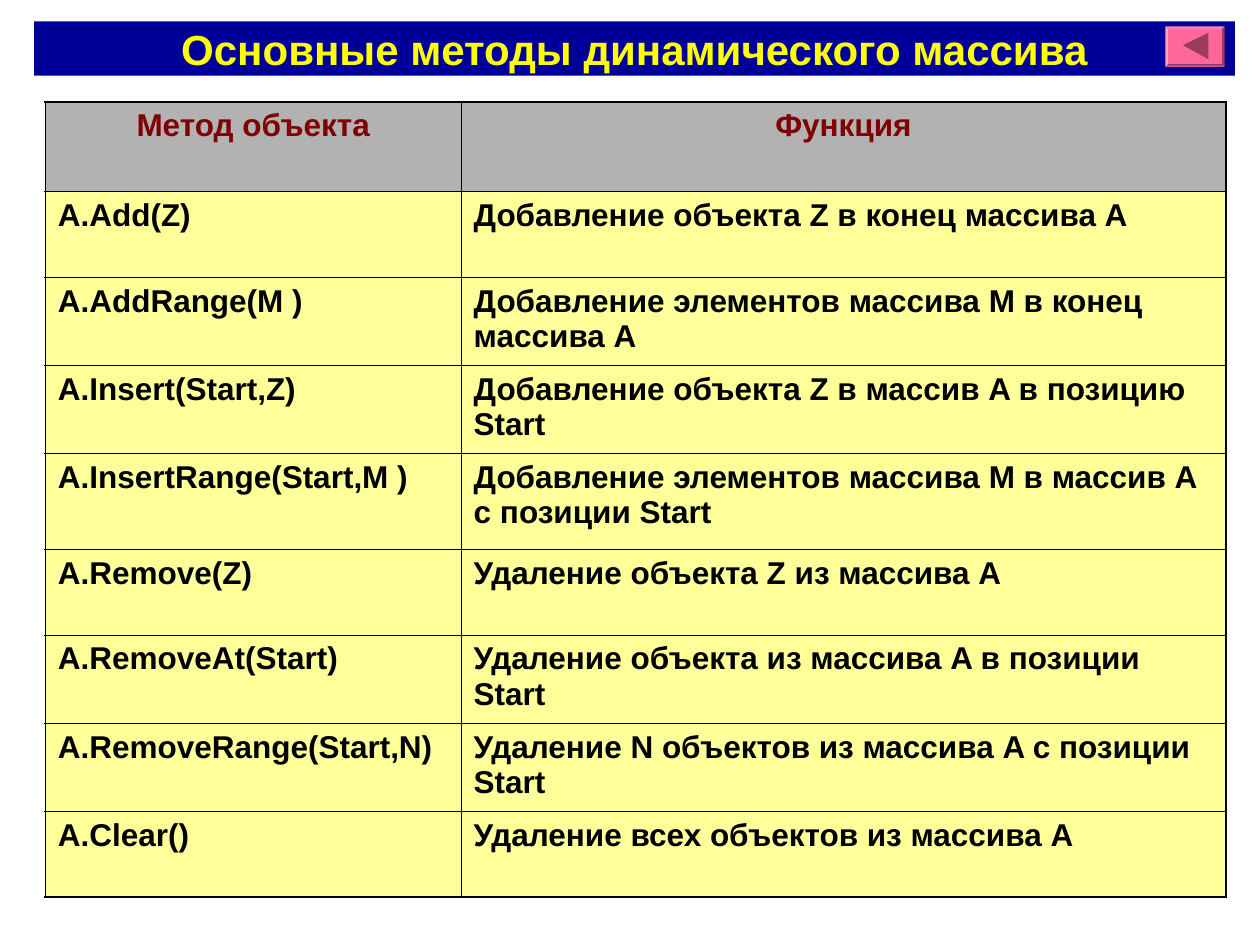
from lxml.etree import SubElement
from pptx import Presentation
from pptx.dml.color import RGBColor
from pptx.enum.shapes import MSO_SHAPE
from pptx.enum.text import MSO_ANCHOR, MSO_AUTO_SIZE, PP_ALIGN
from pptx.oxml.ns import qn
from pptx.util import Inches, Pt

TITLE = "Основные методы динамического массива"
HEADER = ("Метод объекта", "Функция")
METHODS = [
    ("A.Add(Z)", "Добавление объекта Z в конец массива A"),
    ("A.AddRange(M )", "Добавление элементов массива M в конец массива A"),
    ("A.Insert(Start,Z)", "Добавление объекта Z в массив A в позицию Start"),
    ("A.InsertRange(Start,M )", "Добавление элементов массива M в массив A c позиции Start"),
    ("A.Remove(Z)", "Удаление объекта Z из массива A"),
    ("A.RemoveAt(Start)", "Удаление объекта из массива A в позиции Start"),
    ("A.RemoveRange(Start,N)", "Удаление N объектов из массива A с позиции Start"),
    ("A.Clear()", "Удаление всех объектов из массива A"),
]
COL_WIDTHS = (3.3, 6.07)
ROW_HEIGHTS = (0.71, 0.68, 0.7, 0.7, 0.76, 0.68, 0.7, 0.7, 0.68)
THIN, THICK = 0.45, 1.08


def rgb(value):
    return RGBColor.from_string(value)


def paint(item, color):
    item.fill.solid()
    item.fill.fore_color.rgb = rgb(color)


def write(tf, text, size=18, color="000000", align=PP_ALIGN.LEFT, before=0):
    p = tf.paragraphs[0]
    p.alignment = align
    p.space_before = Pt(before)
    r = p.add_run()
    r.text = text
    r.font.name = "Arial"
    r.font.size = Pt(size)
    r.font.bold = True
    r.font.color.rgb = rgb(color)


def border(cell, side, width):
    ln = SubElement(cell._tc.get_or_add_tcPr(), qn("a:ln" + side), w=str(Pt(width)))
    fill = SubElement(ln, qn("a:solidFill"))
    SubElement(fill, qn("a:srgbClr"), val="000000")


def add_title(s):
    sp = s.shapes.title
    sp.left, sp.top, sp.width, sp.height = map(Inches, (0.27, 0.17, 9.53, 0.43))
    paint(sp, "000099")
    tf = sp.text_frame
    tf.auto_size = MSO_AUTO_SIZE.NONE
    tf.word_wrap = True
    tf.vertical_anchor = MSO_ANCHOR.MIDDLE
    write(tf, TITLE, size=24, color="FFFF00", align=PP_ALIGN.CENTER)


def add_back_button(s):
    bevel = s.shapes.add_shape(MSO_SHAPE.BEVEL, *map(Inches, (9.25, 0.21, 0.47, 0.32)))
    bevel.adjustments[0] = 0.06
    paint(bevel, "FF6699")
    builder = s.shapes.build_freeform(Inches(9.39), Inches(0.36), scale=1.0)
    builder.add_line_segments([(Inches(9.59), Inches(y)) for y in (0.26, 0.47)])
    arrow = builder.convert_to_shape()
    paint(arrow, "993D5C")
    for sp in (bevel, arrow):
        sp.line.fill.background()
        sp.shadow.inherit = False


def add_methods(s):
    rows = [HEADER] + METHODS
    last_row, last_col = len(rows) - 1, len(HEADER) - 1
    table = s.shapes.add_table(
        len(rows), len(HEADER), Inches(0.36), Inches(0.81),
        Inches(sum(COL_WIDTHS)), Inches(sum(ROW_HEIGHTS))).table
    for column, width in zip(table.columns, COL_WIDTHS):
        column.width = Inches(width)
    for i, (row, height) in enumerate(zip(rows, ROW_HEIGHTS)):
        table.rows[i].height = Inches(height)
        for j, text in enumerate(row):
            cell = table.cell(i, j)
            outer = {"L": j == 0, "R": j == last_col, "T": i == 0, "B": i == last_row}
            for side, is_outer in outer.items():
                border(cell, side, THICK if is_outer else THIN)
            paint(cell, "FFFF99" if i else "B2B2B2")
            write(cell.text_frame, text, before=4.5,
                  color="000000" if i else "800000",
                  align=PP_ALIGN.LEFT if i else PP_ALIGN.CENTER)


def main():
    prs = Presentation()
    prs.slide_width, prs.slide_height = Inches(10), Inches(7.5)
    s = prs.slides.add_slide(prs.slide_layouts[5])
    add_title(s)
    add_back_button(s)
    add_methods(s)
    prs.save("out.pptx")


if __name__ == "__main__":
    main()
